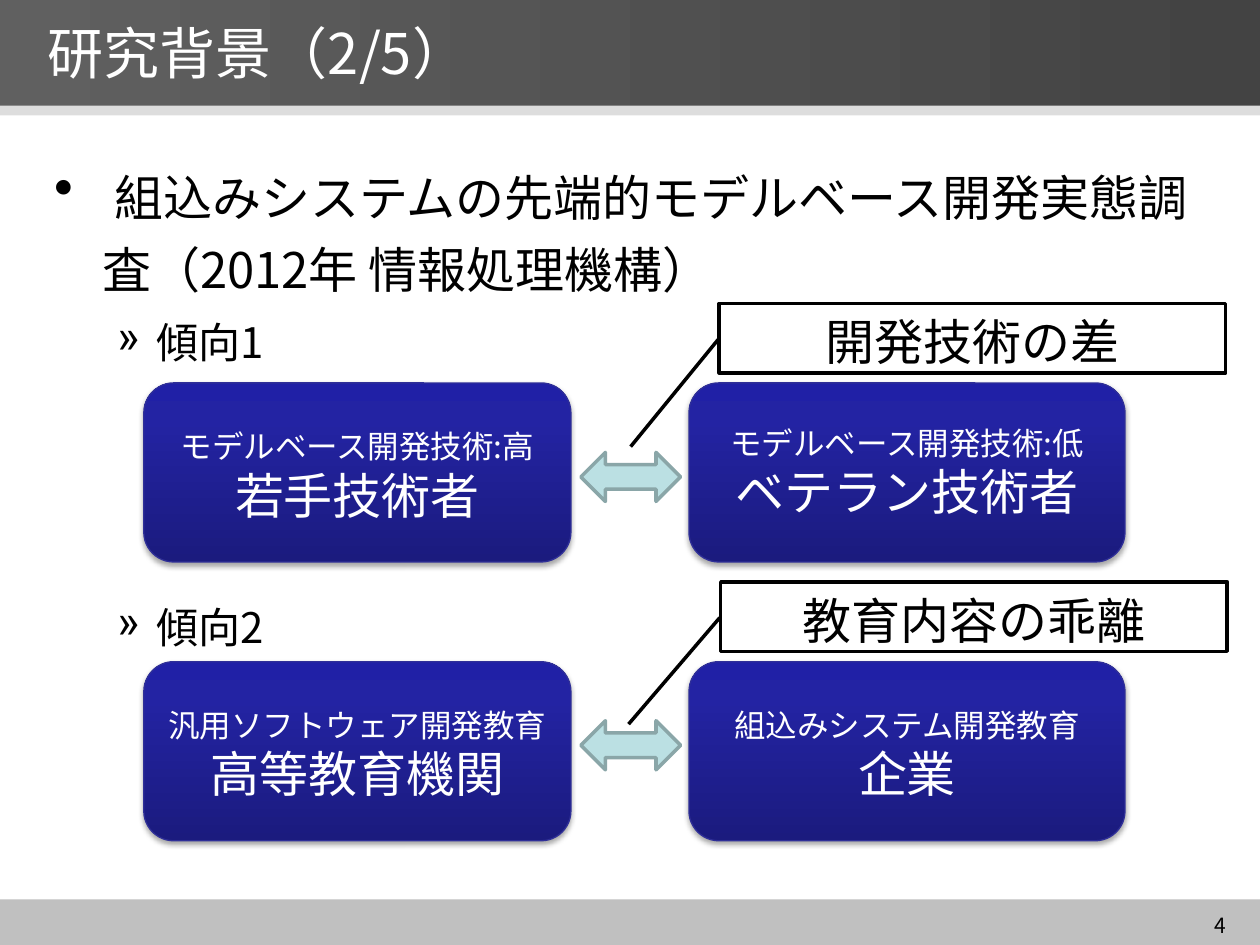
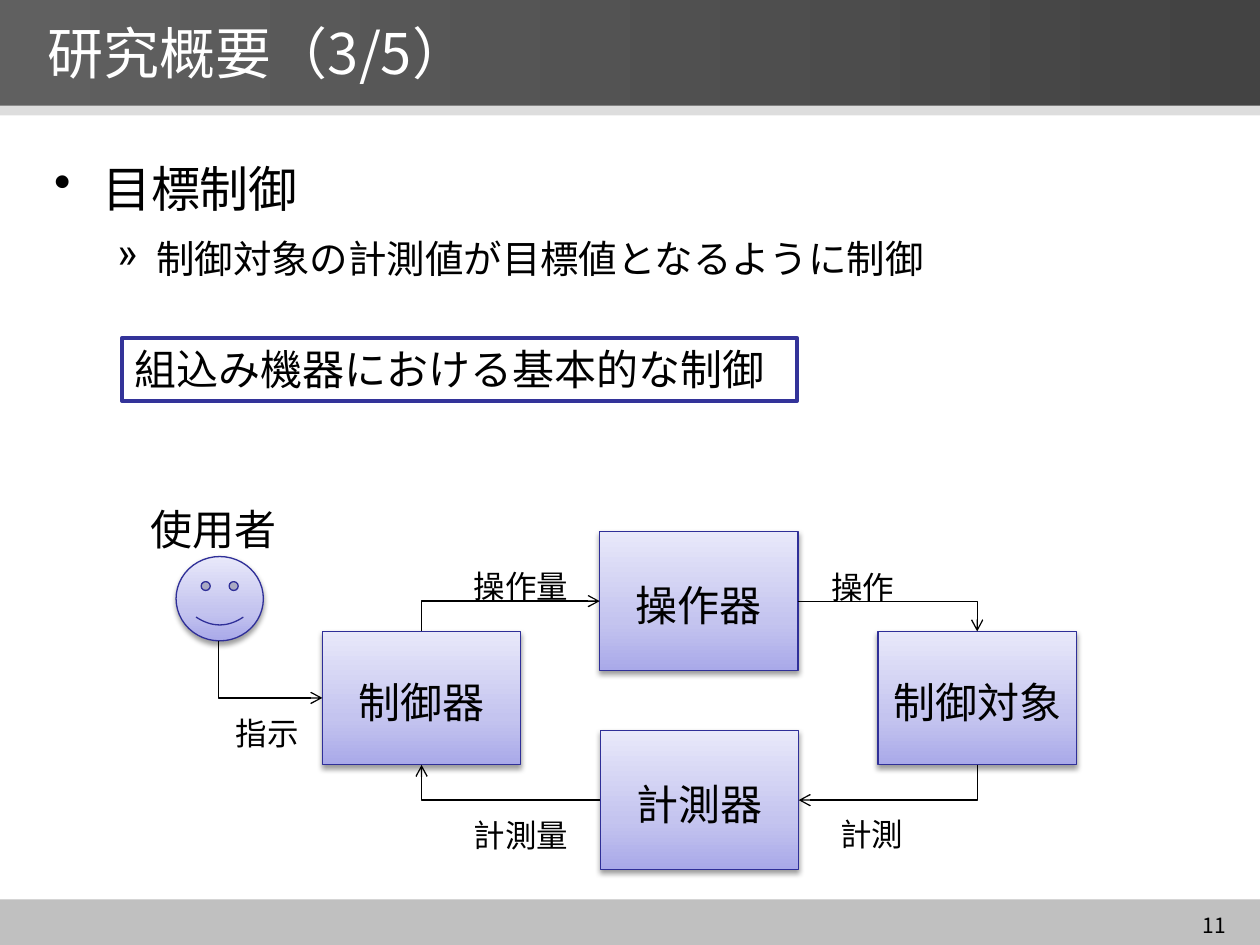
from lxml import etree
from pptx import Presentation
from pptx import util as u
from pptx.dml.color import RGBColor
from pptx.enum import shapes, text
from pptx.oxml import parse_xml
from pptx.oxml.ns import qn

FONT = "Noto Sans CJK JP"
BLACK = RGBColor(0x00, 0x00, 0x00)
WHITE = RGBColor(0xFF, 0xFF, 0xFF)
FOOTER_GREY = RGBColor(0xC0, 0xC0, 0xC0)
RULE_GREY = RGBColor(0xDD, 0xDD, 0xDD)
BAND_DARK = RGBColor(0x43, 0x43, 0x43)
BAND_LIGHT = RGBColor(0x60, 0x60, 0x60)
FRAME_BLUE = RGBColor(0x33, 0x33, 0x99)
EDGE_BLUE = RGBColor(0x2F, 0x2F, 0x98)
ARROW_FILL = RGBColor(0xBB, 0xE0, 0xE3)
ARROW_EDGE = RGBColor(0x8A, 0xA6, 0xA8)

# Gradients: angle in degrees, then (position in percent, colour)
BAND = (0, [(0, BAND_LIGHT), (100, BAND_DARK)])
NAVY = (270, [(0, RGBColor(0x1B, 0x1B, 0x7E)), (80, RGBColor(0x23, 0x23, 0xA3)),
              (100, RGBColor(0x20, 0x20, 0xA6))])
LILAC = (270, [(0, RGBColor(0xA9, 0xA9, 0xE9)), (35, RGBColor(0xC4, 0xC4, 0xEF)),
               (100, RGBColor(0xE8, 0xE8, 0xFA))])

A = "http://schemas.openxmlformats.org/drawingml/2006/main"
KIND = shapes.MSO_SHAPE
LEFT, CENTER, RIGHT = text.PP_ALIGN.LEFT, text.PP_ALIGN.CENTER, text.PP_ALIGN.RIGHT
TOP, MIDDLE = text.MSO_ANCHOR.TOP, text.MSO_ANCHOR.MIDDLE
# Bullet: left margin and hanging indent in cm
BULLETS = {"•": (0.97, 0.97), "»": (2.06, 0.79)}


def add_box(slide, kind, at, fill, edge=None, weight=0.75, shadow=0):
    """Add a preset shape at (left, top, width, height) in cm; shadow is opacity in percent."""
    box = slide.shapes.add_shape(kind, *[u.Cm(length) for length in at])
    box.shadow.inherit = False
    if isinstance(fill, RGBColor):
        box.fill.solid()
        box.fill.fore_color.rgb = fill
    else:
        angle, stops = fill
        marks = "".join(f'<a:gs pos="{pos * 1000}"><a:srgbClr val="{color}"/></a:gs>'
                        for pos, color in stops)
        box._element.spPr.find(qn("a:prstGeom")).addnext(parse_xml(
            f'<a:gradFill xmlns:a="{A}" rotWithShape="1"><a:gsLst>{marks}</a:gsLst>'
            f'<a:lin ang="{angle * 60000}" scaled="0"/></a:gradFill>'))
    if edge is None:
        box.line.fill.background()
    else:
        box.line.color.rgb = edge
        box.line.width = u.Pt(weight)
    if shadow:
        box._element.spPr.find(qn("a:effectLst")).append(parse_xml(
            f'<a:outerShdw xmlns:a="{A}" blurRad="{u.Pt(3.1)}" dist="{u.Pt(1.8)}" dir="5400000" '
            f'rotWithShape="0"><a:srgbClr val="000000"><a:alpha val="{shadow * 1000}"/>'
            '</a:srgbClr></a:outerShdw>'))
    return box


def write(slide, place, paragraphs, color=BLACK, align=LEFT, anchor=TOP, bottom=0.13):
    """Write (bullet, [(words, size)]) paragraphs into a shape or a new text box at place."""
    if isinstance(place, tuple):
        place = slide.shapes.add_textbox(*[u.Cm(length) for length in place])
    frame = place.text_frame
    frame.word_wrap = True
    frame.vertical_anchor = anchor
    frame.margin_bottom = u.Cm(bottom)
    for i, (bullet, runs) in enumerate(paragraphs):
        line = frame.add_paragraph() if i else frame.paragraphs[0]
        line.alignment = align
        if bullet:
            line.line_spacing = 1.2
            line.space_before = u.Pt(runs[0][1] * 0.2)
            margin, hang = BULLETS[bullet]
            props = line._p.get_or_add_pPr()
            props.set("marL", str(u.Cm(margin)))
            props.set("indent", str(-u.Cm(hang)))
            etree.SubElement(props, qn("a:buChar")).set("char", bullet)
        for words, size in runs:
            run = line.add_run()
            run.text = words
            run.font.size = u.Pt(size)
            run.font.name = FONT
            run.font.color.rgb = color
            etree.SubElement(run._r.get_or_add_rPr(), qn("a:ea")).set("typeface", FONT)


deck = Presentation()
deck.slide_width, deck.slide_height = u.Cm(25.4), u.Cm(19.05)

# Shared bands, title and page number
pages = []
for title, number in [("研究背景（2/5）", "4"), ("研究概要（3/5）", "11")]:
    page = deck.slides.add_slide(deck.slide_layouts[6])
    add_box(page, KIND.RECTANGLE, (0, 18.13, 25.4, 0.92), FOOTER_GREY)
    add_box(page, KIND.RECTANGLE, (0, 0, 25.4, 2.13), BAND)
    add_box(page, KIND.RECTANGLE, (0, 2.13, 25.4, 0.2), RULE_GREY)
    write(page, (0.71, 0, 23.85, 2.11), [(None, [(title, 32)])], WHITE, anchor=MIDDLE)
    write(page, (23.34, 18.39, 1.63, 0.51), [(None, [(number, 12)])],
          align=RIGHT, anchor=MIDDLE)
    pages.append(page)
background, overview = pages

# Slide 1: two trends, each a pair of cards with the gap between them named
write(background, (0.84, 2.84, 23.93, 3.48), [
    ("•", [(" ", 32), ("組込みシステムの先端的モデルベース開発実態調査（2012年 情報処理機構）", 28)])])
trends = [
    ("傾向1", 6.05, 7.72, 9.12,
     ("モデルベース開発技術:高", "若手技術者", 0),
     ("モデルベース開発技術:低", "ベテラン技術者", 0.13),
     "開発技術の差", (14.5, 6.12), (2.06, -0.175)),
    ("傾向2", 11.79, 13.34, 14.53,
     ("汎用ソフトウェア開発教育", "高等教育機関", 0),
     ("組込みシステム開発教育", "企業", 0),
     "教育内容の乖離", (14.53, 11.73), (2.05, -0.182)),
]
for trend, trend_top, card_top, arrow_top, near, far, gap, gap_at, pointer in trends:
    write(background, (0.84, trend_top, 23.93, 1.75), [("»", [(trend, 24)])])
    for (topic, who, bottom), left, width in [(near, 2.9, 8.61), (far, 13.89, 8.79)]:
        card = add_box(background, KIND.ROUNDED_RECTANGLE, (left, card_top, width, 3.61),
                       NAVY, EDGE_BLUE, shadow=35)
        write(background, card, [(None, [(topic, 18)]), (None, [(who, 28)])],
              WHITE, CENTER, MIDDLE, bottom)
    add_box(background, KIND.LEFT_RIGHT_ARROW, (11.71, arrow_top, 2.01, 0.99),
            ARROW_FILL, ARROW_EDGE, 2)
    callout = add_box(background, KIND.LINE_CALLOUT_1, (*gap_at, 10.21, 1.4), WHITE, BLACK, 2)
    for i, value in enumerate((0.517, -0.002, *pointer)):
        callout.adjustments[i] = value
    write(background, callout, [(None, [(gap, 28)])], BLACK, CENTER, MIDDLE, 0)

# Slide 2: control loop
write(overview, (0.84, 2.84, 23.93, 2.49), [
    ("•", [("目標制御", 28)]),
    ("»", [("制御対象の計測値が目標値となるように制御", 22)])])
summary = add_box(overview, KIND.RECTANGLE, (2.46, 6.81, 13.61, 1.28), WHITE, FRAME_BLUE, 2)
write(overview, summary, [(None, [("組込み機器における基本的な制御", 24)])])

for part, left, top, height in [("制御器", 6.5, 12.73, 2.69), ("計測器", 12.1, 14.73, 2.8),
                                ("制御対象", 17.7, 12.73, 2.69), ("操作器", 12.09, 10.72, 2.8)]:
    block = add_box(overview, KIND.RECTANGLE, (left, top, 4, height), LILAC, EDGE_BLUE, shadow=38)
    write(overview, block, [(None, [(part, 24)])], BLACK, CENTER, MIDDLE, 0)
add_box(overview, KIND.SMILEY_FACE, (3.55, 11.22, 1.76, 1.7), LILAC, EDGE_BLUE, shadow=38)

# Signals: start, end, whether the first leg is vertical
signals = [((8.5, 12.73), (12.09, 12.12), True),
           ((16.08, 12.12), (19.7, 12.73), False),
           ((19.7, 15.42), (16.1, 16.13), True),
           ((12.1, 16.13), (8.5, 15.42), False),
           ((4.41, 12.92), (6.5, 14.07), True)]
for start, end, vertical in signals:
    ends = [start, end]
    if vertical:  # lay the elbow out a quarter turn back, then rotate it about its middle
        mid_x, mid_y = (start[0] + end[0]) / 2, (start[1] + end[1]) / 2
        ends = [(mid_x + y - mid_y, mid_y - x + mid_x) for x, y in ends]
    signal = overview.shapes.add_connector(
        shapes.MSO_CONNECTOR.ELBOW, *[u.Cm(value) for point in ends for value in point])
    signal.line.color.rgb = BLACK
    signal.line.width = u.Pt(0.75)
    props = signal._element.spPr
    props.find(qn("a:prstGeom")).set("prst", "bentConnector2")
    if vertical:
        props.find(qn("a:xfrm")).set("rot", "5400000")
    etree.SubElement(props.find(qn("a:ln")), qn("a:tailEnd")).set("type", "arrow")
    etree.SubElement(props, qn("a:effectLst"))

for label, left, top, size in [("操作量", 9.3, 11.3, 18), ("操作", 16.51, 11.33, 18),
                               ("計測量", 9.3, 16.33, 18), ("計測", 16.69, 16.31, 18),
                               ("指示", 4.5, 14.27, 18), ("使用者", 2.79, 10.03, 24)]:
    write(overview, (left, top, 3.1, size / 18), [(None, [(label, size)])])

deck.save("out.pptx")
